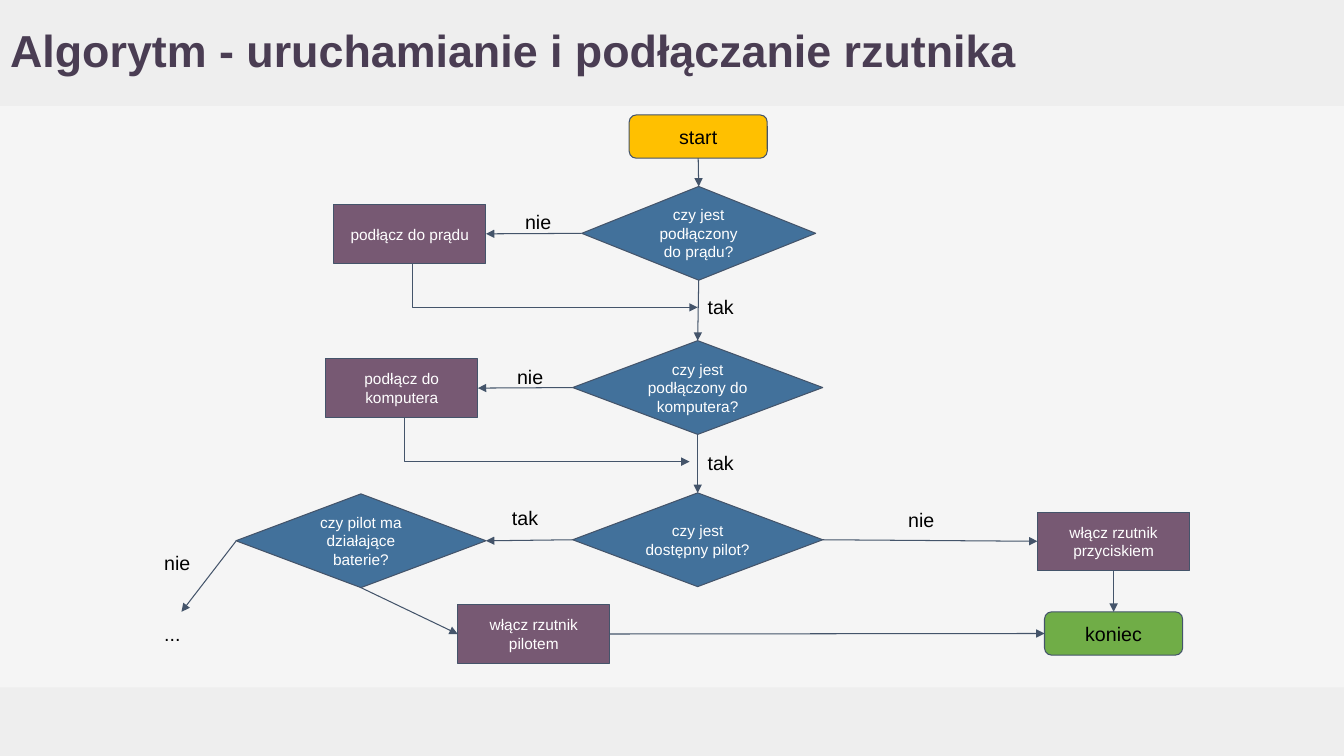
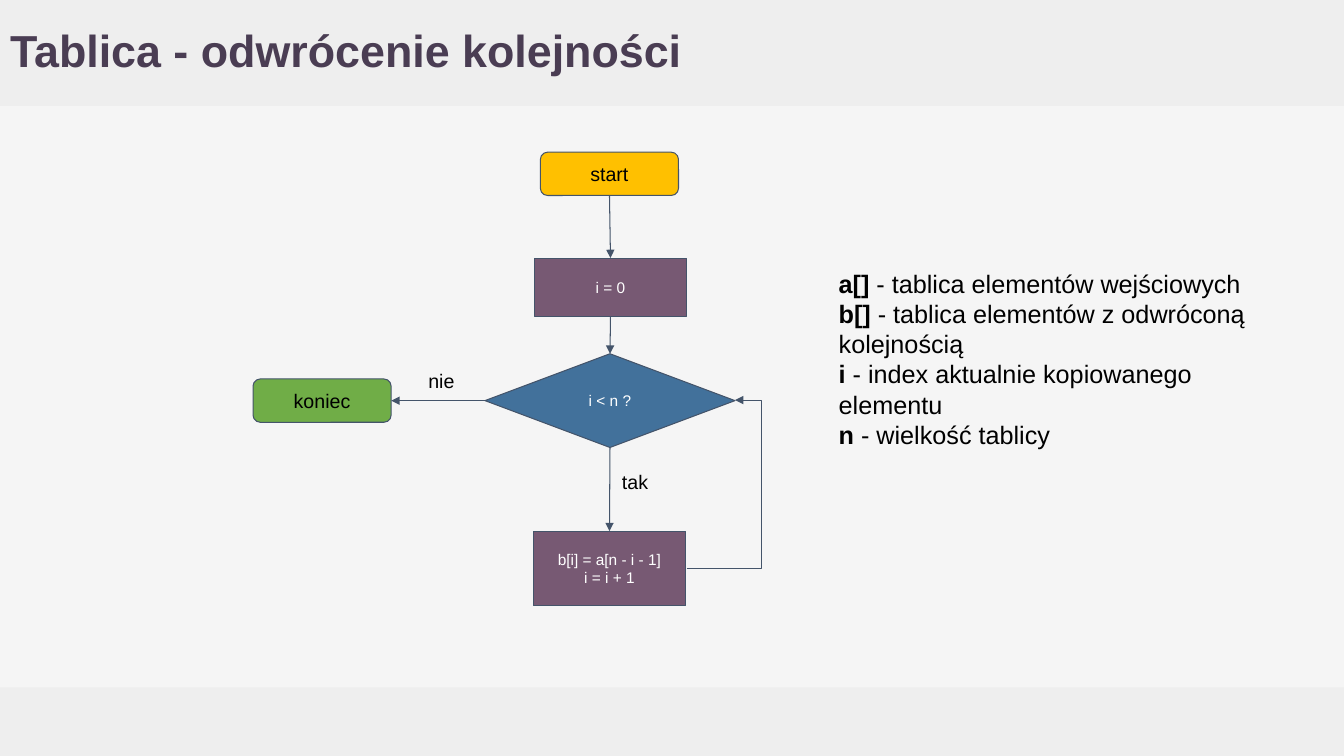
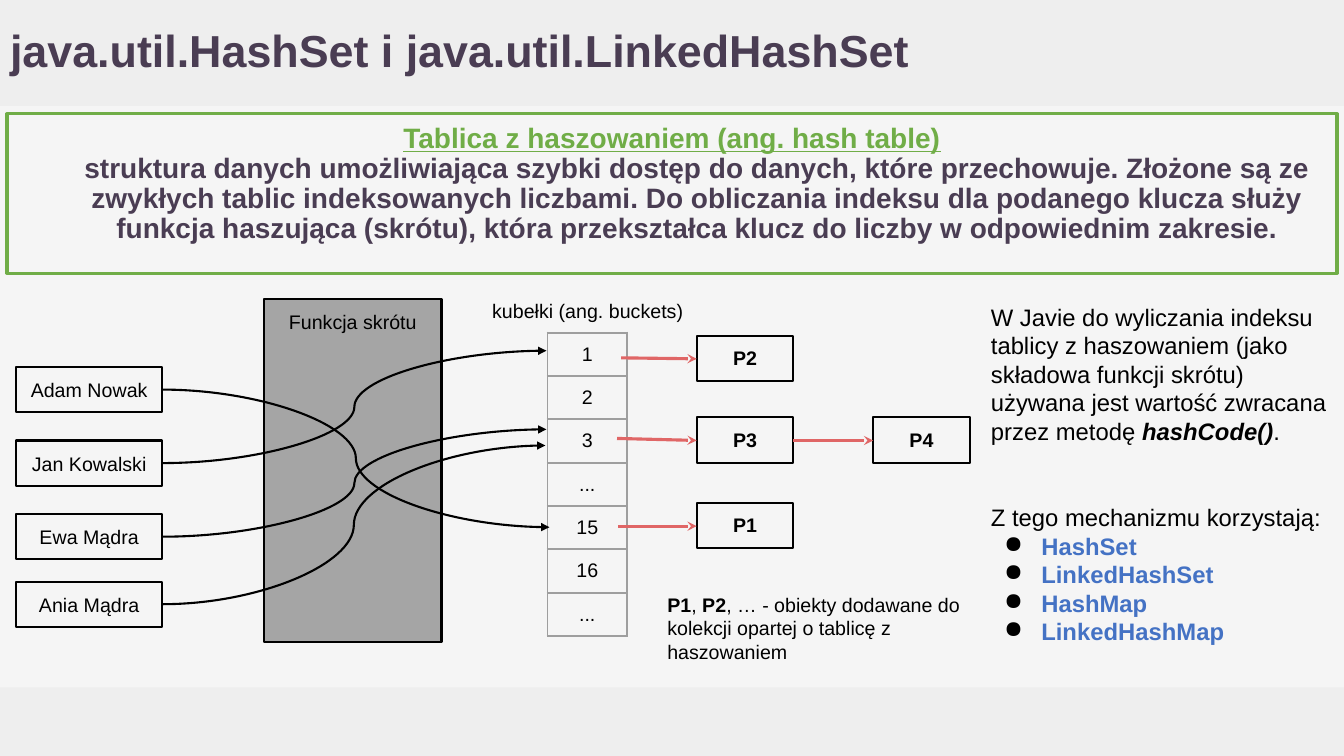
from lxml.etree import SubElement
from pptx import Presentation
from pptx.dml.color import RGBColor
from pptx.enum.shapes import MSO_CONNECTOR as Wire, MSO_SHAPE as Form
from pptx.enum.text import MSO_ANCHOR as Anchor, MSO_AUTO_SIZE as Fit, PP_ALIGN as Align
from pptx.oxml.ns import qn
from pptx.util import Inches, Pt

BLACK = RGBColor(0x00, 0x00, 0x00)
WHITE = RGBColor(0xFF, 0xFF, 0xFF)
PAPER = RGBColor(0xF5, 0xF5, 0xF5)
BAND = RGBColor(0xEE, 0xEE, 0xEE)
PLUM = RGBColor(0x4A, 0x3D, 0x53)
MAUVE = RGBColor(0x77, 0x59, 0x73)
BLUE = RGBColor(0x42, 0x71, 0x9B)
SKY = RGBColor(0x44, 0x72, 0xC4)
SLATE = RGBColor(0x44, 0x54, 0x6A)
AMBER = RGBColor(0xFF, 0xC0, 0x00)
GREEN = RGBColor(0x70, 0xAD, 0x47)
GREY = RGBColor(0xA5, 0xA5, 0xA5)
RULE = RGBColor(0x9E, 0x9E, 0x9E)
RED = RGBColor(0xE0, 0x66, 0x66)

FONT = "Arial"
PAD = Inches(0.1)
WIDE, HIGH = 13.33, 7.5
TOP, LEFT, BOTTOM, RIGHT = range(4)


class Deck:
    def __init__(self):
        self.prs = Presentation()
        self.prs.slide_width = Inches(WIDE)
        self.prs.slide_height = Inches(HIGH)
        self.slide = None

    def page(self, title):
        first = self.slide is None
        self.slide = self.prs.slides.add_slide(self.prs.slide_layouts[5])
        if first:
            self.dress()
        head = self.slide.shapes.title
        head.left, head.top = Inches(0), Inches(0)
        head.width, head.height = Inches(11.92), Inches(1.05)
        self.text(head.text_frame, [title], 32, PLUM, Align.LEFT, bold=True)
        head.text_frame.auto_size = Fit.NONE
        head.text_frame.paragraphs[0].line_spacing = 0.9

    def dress(self):
        """Give the master its background and both bands."""
        master = self.prs.slide_master
        master.background.fill.solid()
        master.background.fill.fore_color.rgb = PAPER
        for top, high in ((0, 1.05), (6.82, 0.68)):
            band = self.shape(Form.RECTANGLE, 0, top, WIDE, high, BAND)
            master.shapes.element.insert(2, band.element)

    def text(self, frame, lines, size, color=BLACK, align=Align.CENTER,
             anchor=Anchor.MIDDLE, bold=False):
        """Fill a frame with lines; words between asterisks are bold."""
        frame.word_wrap = True
        frame.vertical_anchor = anchor
        frame.margin_left = frame.margin_right = PAD
        frame.margin_top = frame.margin_bottom = PAD
        frame.text = "\n".join(lines)
        for para in frame.paragraphs:
            bits = para.text.split("*")
            para.text = ""
            para.alignment = align
            for i, bit in enumerate(bits):
                if bit:
                    run = para.add_run()
                    run.text = bit
                    font = run.font
                    font.name, font.size = FONT, Pt(size)
                    font.bold = bold or i % 2 == 1
                    font.color.rgb = color

    def shape(self, form, x, y, w, h, fill=None, line=None, width=0.75):
        item = self.slide.shapes.add_shape(
            form, Inches(x), Inches(y), Inches(w), Inches(h))
        item.shadow.inherit = False
        if fill is None:
            item.fill.background()
        else:
            item.fill.solid()
            item.fill.fore_color.rgb = fill
        if line is None:
            item.line.fill.background()
        else:
            item.line.color.rgb = line
            item.line.width = Pt(width)
        return item

    def pill(self, x, y, words, fill):
        item = self.shape(Form.ROUNDED_RECTANGLE, x, y, 1.37, 0.43, fill, SLATE)
        self.text(item.text_frame, [words], 14)
        return item

    def step(self, x, y, *lines, high=0.58):
        item = self.shape(Form.RECTANGLE, x, y, 1.51, high, MAUVE, SLATE)
        self.text(item.text_frame, lines, 11, WHITE)
        return item

    def test(self, x, y, words, wide=2.48):
        item = self.shape(Form.DIAMOND, x, y, wide, 0.93, BLUE, SLATE)
        self.text(item.text_frame, [words], 11, WHITE)
        return item

    def frame(self, x, y, w, h, words, fill=None, **style):
        item = self.shape(Form.RECTANGLE, x, y, w, h, fill, BLACK, 1.5)
        self.text(item.text_frame, [words], 14, **style)
        return item

    def note(self, x, y, w, h, lines, size=14, align=Align.LEFT, anchor=Anchor.TOP):
        box = self.slide.shapes.add_textbox(
            Inches(x), Inches(y), Inches(w), Inches(h))
        self.text(box.text_frame, lines, size, align=align, anchor=anchor)
        return box.text_frame.paragraphs

    def tag(self, x, y, words):
        self.note(x, y, 0.54, 0.43, [words])

    def arrow(self, x1, y1, x2, y2, kind=Wire.STRAIGHT, color=SLATE,
              width=0.75, tip="triangle", bend=None):
        """Draw an arrow; bend places the middle leg as a share of the width."""
        wire = self.slide.shapes.add_connector(
            kind, Inches(x1), Inches(y1), Inches(x2), Inches(y2))
        wire.line.color.rgb = color
        wire.line.width = Pt(width)
        props = wire.element.spPr
        SubElement(props.find(qn("a:ln")), qn("a:tailEnd"), type=tip)
        SubElement(props, qn("a:effectLst"))
        if bend is not None:
            guides = props.find(qn("a:prstGeom")).find(qn("a:avLst"))
            SubElement(guides, qn("a:gd"), name="adj1",
                       fmla=f"val {round(bend * 100000)}")
        return wire

    def link(self, one, side, two, end):
        wire = self.arrow(0, 0, 0, 0)
        wire.begin_connect(one, side)
        wire.end_connect(two, end)

    def column(self, x, y, w, h, words):
        """Add a one-column table with rows of equal height."""
        holder = self.slide.shapes.add_table(
            len(words), 1, Inches(x), Inches(y), Inches(w), Inches(h * len(words)))
        table = holder.table
        table.first_row = table.horz_banding = False
        for row, word in zip(table.rows, words):
            row.height = Inches(h)
            cell = row.cells[0]
            self.text(cell.text_frame, [word], 14)
            cell.vertical_anchor = Anchor.MIDDLE
            cell.margin_left = cell.margin_right = PAD
            cell.margin_top = cell.margin_bottom = PAD
            props = cell._tc.get_or_add_tcPr()
            for edge in ("lnL", "lnR", "lnT", "lnB"):
                line = SubElement(props, qn("a:" + edge), w=str(Pt(1.5)))
                fill = SubElement(line, qn("a:solidFill"))
                SubElement(fill, qn("a:srgbClr"), val=str(RULE))
            cell.fill.background()


def indent(para, left, hang=0):
    props = para._p.get_or_add_pPr()
    props.set("marL", str(Inches(left)))
    props.set("indent", str(Inches(hang)))
    return props


def bullet(para):
    props = indent(para, 0.5, -0.37)
    tint = SubElement(props, qn("a:buClr"))
    SubElement(tint, qn("a:srgbClr"), val=str(BLACK))
    SubElement(props, qn("a:buChar"), char="●")


def beamer(deck):
    deck.page("Algorytm - uruchamianie i podłączanie rzutnika")
    start = deck.pill(6.24, 1.14, "start", AMBER)
    end = deck.pill(10.36, 6.07, "koniec", GREEN)
    power = deck.test(5.77, 1.85, "czy jest podłączony do prądu?", 2.32)
    plug = deck.step(3.31, 2.03, "podłącz do prądu")
    cable = deck.test(5.68, 3.38, "czy jest podłączony do komputera?")
    join = deck.step(3.23, 3.56, "podłącz do komputera")
    remote = deck.test(5.68, 4.89, "czy jest dostępny pilot?")
    cells = deck.test(2.34, 4.9, "czy pilot ma działające baterie?")
    press = deck.step(10.29, 5.08, "włącz rzutnik przyciskiem")
    click = deck.step(4.54, 6, "włącz rzutnik pilotem")

    for one, side, two, edge in (
        (start, BOTTOM, power, TOP),
        (power, LEFT, plug, RIGHT),
        (power, BOTTOM, cable, TOP),
        (cable, LEFT, join, RIGHT),
        (cable, BOTTOM, remote, TOP),
        (remote, LEFT, cells, RIGHT),
        (remote, RIGHT, press, LEFT),
        (cells, BOTTOM, click, LEFT),
        (click, RIGHT, end, LEFT),
        (press, BOTTOM, end, TOP),
    ):
        deck.link(one, side, two, edge)
    for x, y in ((4.09, 2.62), (4.01, 4.15)):
        deck.arrow(x, y, x + 2.83, y + 0.43, Wire.ELBOW, bend=0)
    deck.arrow(2.34, 5.37, 1.8, 6.07)

    for x, y, words in (
        (5.11, 1.98, "nie"), (6.92, 2.83, "tak"), (5.03, 3.52, "nie"),
        (6.92, 4.37, "tak"), (8.91, 4.94, "nie"), (4.98, 4.92, "tak"),
        (1.53, 5.37, "nie"), (1.53, 6.07, "..."),
    ):
        deck.tag(x, y, words)


def turn(deck):
    deck.page("Tablica - odwrócenie kolejności")
    start = deck.pill(5.36, 1.51, "start", AMBER)
    init = deck.step(5.3, 2.56, "i = 0")
    check = deck.test(4.81, 3.51, "i < n ?")
    swap = deck.step(5.29, 5.27, "b[i] = a[n - i - 1]", "i = i + 1", high=0.74)
    end = deck.pill(2.51, 3.76, "koniec", GREEN)
    deck.link(start, BOTTOM, init, TOP)
    deck.link(init, BOTTOM, check, TOP)
    deck.link(check, LEFT, end, RIGHT)
    deck.link(check, BOTTOM, swap, TOP)
    deck.arrow(6.81, 5.64, 7.29, 3.97, Wire.ELBOW, bend=1.54)
    deck.tag(4.15, 3.56, "nie")
    deck.tag(6.07, 4.56, "tak")
    deck.note(8.22, 2.56, 4.46, 1.94, [
        "*a[]* - tablica elementów wejściowych",
        "*b[]* - tablica elementów z odwróconą kolejnością",
        "*i *- index aktualnie kopiowanego elementu",
        "*n *- wielkość tablicy",
    ], 18)


def hashing(deck):
    deck.page("java.util.HashSet i java.util.LinkedHashSet")
    lead = deck.shape(Form.RECTANGLE, 0.07, 1.13, 13.19, 1.58, None, GREEN, 2.25)
    deck.text(lead.text_frame, [
        "Tablica z haszowaniem (ang. hash table)",
        "struktura danych umożliwiająca szybki dostęp do danych, które "
        "przechowuje. Złożone są ze zwykłych tablic indeksowanych liczbami. "
        "Do obliczania indeksu dla podanego klucza służy funkcja haszująca "
        "(skrótu), która przekształca klucz do liczby w odpowiednim zakresie.",
    ], 20, PLUM, anchor=Anchor.TOP, bold=True)
    term, sense = lead.text_frame.paragraphs
    term.line_spacing = sense.line_spacing = 0.9
    term.runs[0].font.color.rgb = GREEN
    term.runs[0].font.underline = True
    indent(sense, 0.5)

    deck.frame(2.62, 2.97, 1.76, 3.4, "Funkcja skrótu", GREY, anchor=Anchor.TOP)
    deck.column(5.43, 3.3, 0.79, 0.43, ["1", "2", "3", "...", "15", "16", "..."])
    deck.note(4.75, 2.9, 2.16, 0.37, ["kubełki (ang. buckets)"],
              align=Align.CENTER, anchor=Anchor.MIDDLE)

    for name, y, x2, y2 in (
        ("Adam Nowak", 3.64, 5.45, 5.23),
        ("Jan Kowalski", 4.37, 5.42, 3.48),
        ("Ewa Mądra", 5.1, 5.42, 4.26),
        ("Ania Mądra", 5.77, 5.41, 4.42),
    ):
        deck.frame(0.16, y, 1.45, 0.45, name)
        deck.arrow(1.61, y + 0.225, x2, y2, Wire.CURVE, BLACK, 1.5)

    for name, x, y, x1, y1 in (
        ("P2", 6.91, 3.33, 6.16, 3.55),
        ("P3", 6.91, 4.14, 6.12, 4.35),
        ("P4", 8.66, 4.14, 7.87, 4.37),
        ("P1", 6.91, 4.99, 6.13, 5.22),
    ):
        deck.frame(x, y, 0.96, 0.45, name, anchor=Anchor.TOP, bold=True)
        deck.arrow(x1, y1, x, y + 0.23, color=RED, width=2.25, tip="stealth")

    deck.note(6.52, 5.78, 3.17, 0.85, [
        "*P1*, *P2*, … - obiekty dodawane do kolekcji opartej o tablicę "
        "z haszowaniem"])
    about, users, *kinds = deck.note(9.73, 2.9, 3.6, 3.72, [
        "W Javie do wyliczania indeksu tablicy z haszowaniem (jako składowa "
        "funkcji skrótu) używana jest wartość zwracana przez metodę "
        "*hashCode()*.",
        "Z tego mechanizmu korzystają:",
        "*HashSet*", "*LinkedHashSet*", "*HashMap*", "*LinkedHashMap*",
    ], 17)
    about.runs[1].font.italic = True
    users.space_before = Pt(41)
    for kind in kinds:
        bullet(kind)
        kind.runs[0].font.color.rgb = SKY


def main():
    deck = Deck()
    beamer(deck)
    turn(deck)
    hashing(deck)
    deck.prs.save("out.pptx")


if __name__ == "__main__":
    main()
